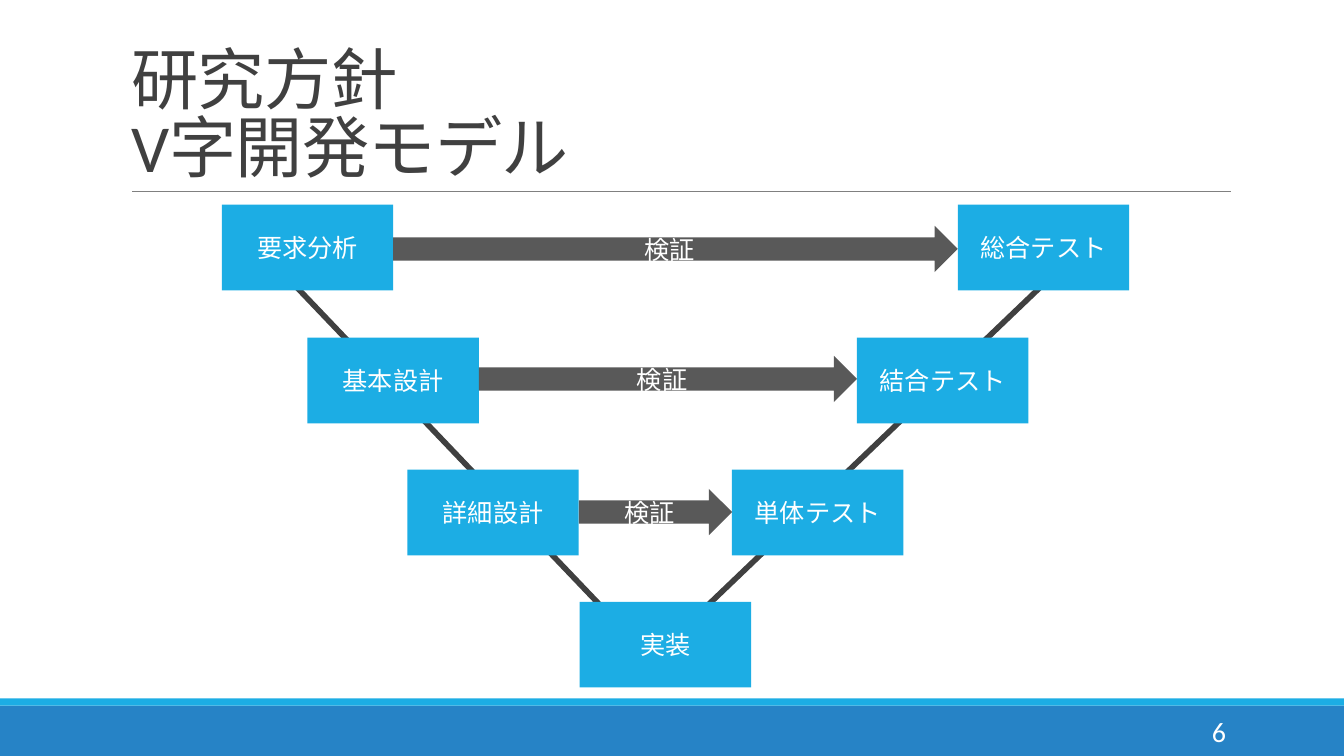
from pptx import Presentation
from pptx.dml.color import RGBColor
from pptx.enum.shapes import MSO_CONNECTOR as CONNECTOR, MSO_SHAPE as SHAPE
from pptx.enum.text import MSO_ANCHOR as ANCHOR, PP_ALIGN as ALIGN
from pptx.oxml.ns import qn
from pptx.util import Emu, Pt
from lxml.etree import SubElement

PX = 9144  # 100 px to the inch
FONT = "Calibri"
BLUE, DARK_BLUE, WHITE = "1CADE4", "2683C6", "FFFFFF"
DARK, ARROW_GREY, RULE_GREY = "404040", "595959", "808080"
BOX_WIDTH, BOX_HEIGHT, ARROW_HEIGHT = 170, 85, 46

deck = Presentation()
deck.slide_width, deck.slide_height = Emu(1333 * PX), Emu(750 * PX)
page = deck.slides.add_slide(deck.slide_layouts[5])


def color(value):
    return RGBColor.from_string(value)


def add_block(kind, left, top, width, height, fill, text="", size=18, align=ALIGN.CENTER):
    block = page.shapes.add_shape(kind, *(Emu(n * PX) for n in (left, top, width, height)))
    block.shadow.inherit = False
    block.fill.solid()
    block.fill.fore_color.rgb = color(fill)
    block.line.fill.background()
    if text:
        frame = block.text_frame
        frame.vertical_anchor = ANCHOR.MIDDLE
        frame.text = text
        para = frame.paragraphs[0]
        para.alignment = align
        para.font.name, para.font.size = FONT, Pt(size)
        para.font.color.rgb = color(WHITE)
    return block


# Footer bands
add_block(SHAPE.RECTANGLE, 0, 700, 1333, 50, DARK_BLUE)
add_block(SHAPE.RECTANGLE, 0, 693, 1333, 7, BLUE)

# Slide number
number = add_block(SHAPE.RECTANGLE, 1083, 706, 143, 40, DARK_BLUE, "6", 20, ALIGN.RIGHT)
number.fill.background()

# Title
title = page.shapes.title
title.left, title.top, title.width, title.height = (Emu(n * PX) for n in (120, 31, 1100, 159))
title.text_frame.word_wrap = True
title.text_frame.vertical_anchor = ANCHOR.BOTTOM
title.text_frame.text = "研究方針\vV字開発モデル"
heading = title.text_frame.paragraphs[0]
heading.alignment = ALIGN.LEFT
heading.line_spacing = 0.85
heading.font.name, heading.font.size = FONT, Pt(48)
heading.font.color.rgb = color(DARK)
for span in heading.runs:
    span.font._element.set("spc", "-50")

# Title rule and the two arms of the V
lines = [
    (131, 190, 1221, 190, RULE_GREY, 0.5),
    (692, 610, 1061, 257, DARK, 4),
    (280, 270, 633, 640, DARK, 4),
]
for x1, y1, x2, y2, tone, weight in lines:
    line = page.shapes.add_connector(CONNECTOR.STRAIGHT, *(Emu(n * PX) for n in (x1, y1, x2, y2)))
    line.line.color.rgb = color(tone)
    line.line.width = Pt(weight)
    SubElement(line._element.spPr, qn("a:effectLst"))

# Design and test boxes, joined by verification arrows
levels = [
    ("要求分析", 220, "総合テスト", 950, 203, 224),
    ("基本設計", 305, "結合テスト", 850, 335, 353),
    ("詳細設計", 404, "単体テスト", 726, 466, 485),
]
for design, design_left, test, test_left, top, arrow_top in levels:
    add_block(SHAPE.RECTANGLE, design_left, top, BOX_WIDTH, BOX_HEIGHT, BLUE, design)
    add_block(SHAPE.RECTANGLE, test_left, top, BOX_WIDTH, BOX_HEIGHT, BLUE, test)
    arrow_left = design_left + BOX_WIDTH
    add_block(SHAPE.RIGHT_ARROW, arrow_left, arrow_top, test_left - arrow_left, ARROW_HEIGHT,
              ARROW_GREY, "検証")

# Implementation at the foot of the V
add_block(SHAPE.RECTANGLE, 575, 597, BOX_WIDTH, BOX_HEIGHT, BLUE, "実装")

deck.save("out.pptx")
